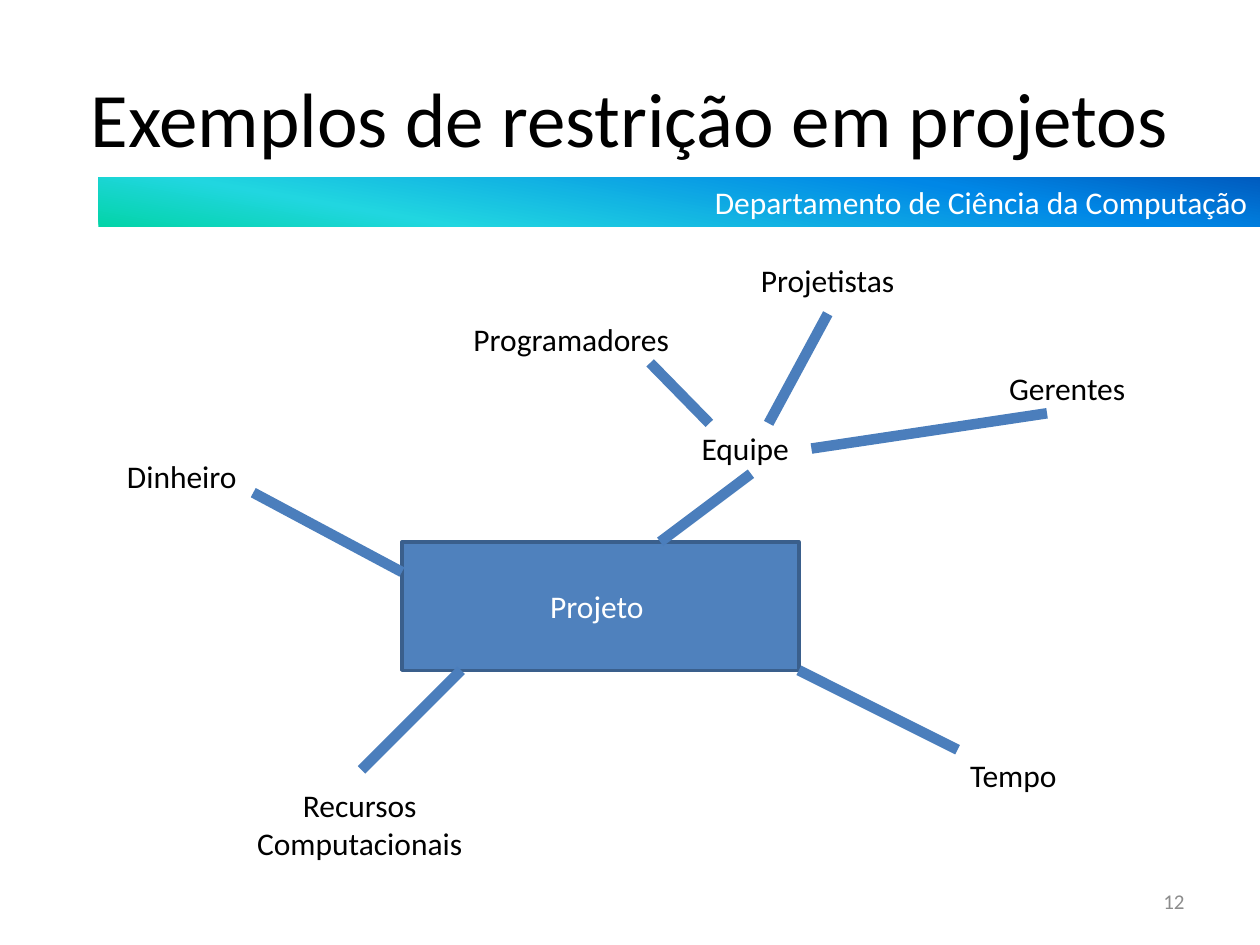
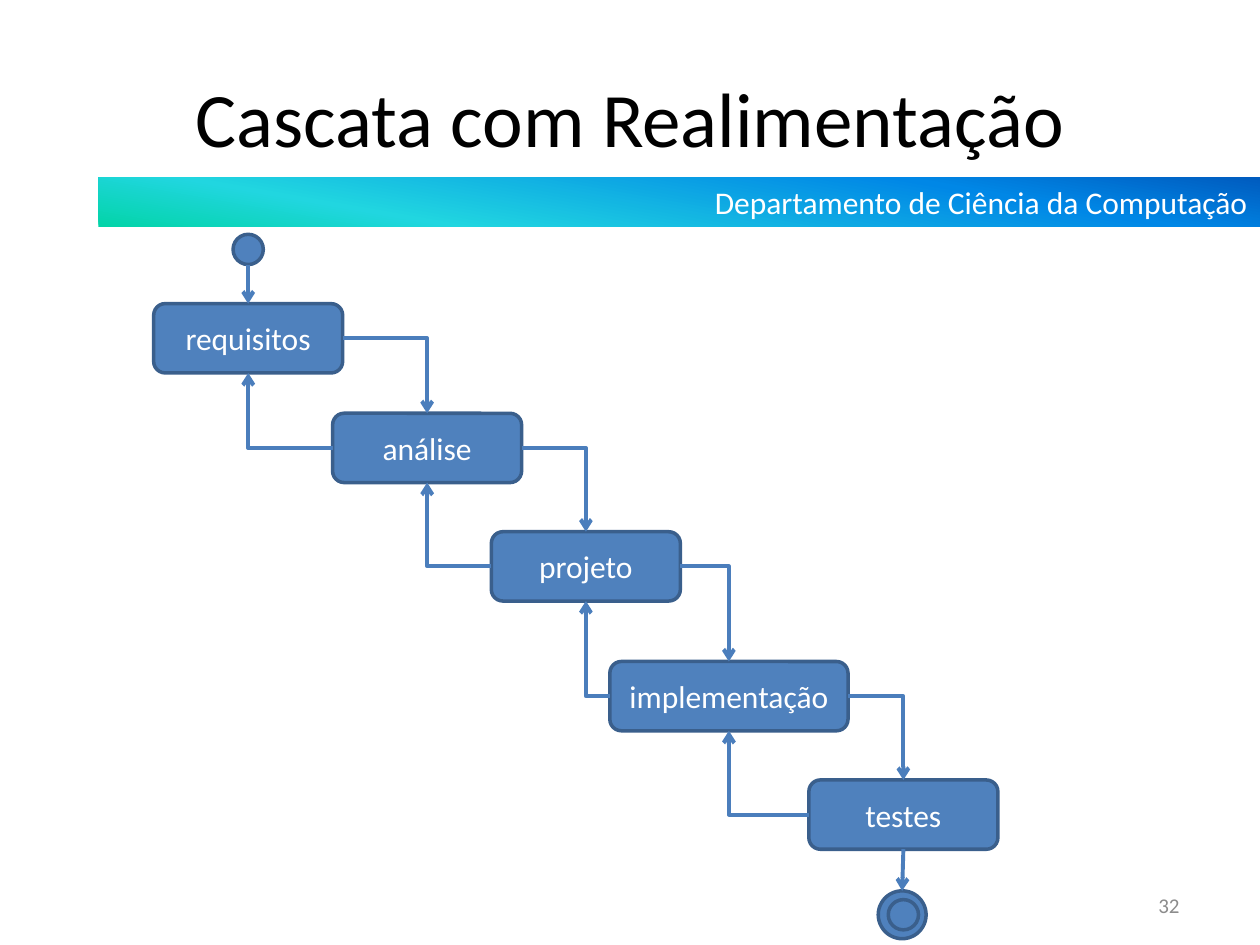
"""Two slides on software projects: constraints map and waterfall with feedback."""
from dataclasses import dataclass
from typing import NamedTuple

from lxml import etree
from pptx import Presentation, util as u
from pptx.dml.color import RGBColor
from pptx.enum import shapes, text
from pptx.oxml import ns


@dataclass(frozen=True)
class Theme:
    font: str = "Calibri"
    ink: str = "000000"
    light: str = "FFFFFF"
    muted: str = "8C8C8C"
    fill: str = "4F81BD"
    edge: str = "3A5F8C"
    link: str = "4B7EBC"
    band: tuple = ((0, "03D4A8"), (25, "21D6E0"), (75, "0087E6"), (100, "005CBF"))
    title: int = 44
    body: int = 18
    small: int = 12
    border: float = 2
    thin: float = 2.25
    thick: float = 6


class Box(NamedTuple):
    left: float
    top: float
    width: float
    height: float

    @property
    def mid(self) -> float:
        return self.left + self.width / 2

    @property
    def right(self) -> float:
        return self.left + self.width

    @property
    def base(self) -> float:
        return self.top + self.height

    @property
    def level(self) -> float:
        return self.top + self.height / 2


class Label(NamedTuple):
    words: str
    box: Box


class Link(NamedTuple):
    start: tuple[float, float]
    end: tuple[float, float]


THEME = Theme()
RECT = shapes.MSO_SHAPE.RECTANGLE
ROUND = shapes.MSO_SHAPE.ROUNDED_RECTANGLE
OVAL = shapes.MSO_SHAPE.OVAL
LEFT, CENTER, RIGHT = text.PP_ALIGN.LEFT, text.PP_ALIGN.CENTER, text.PP_ALIGN.RIGHT

PROJECT = Label("Projeto ", Box(3.19, 4.3, 3.15, 1.02))
LABELS = (
    Label("Dinheiro", Box(0.91, 3.58, 1.14, 0.4)),
    Label("Equipe", Box(5.47, 3.36, 0.97, 0.4)),
    Label("Programadores", Box(3.66, 2.49, 1.83, 0.4)),
    Label("Projetistas", Box(5.94, 2.02, 1.33, 0.4)),
    Label("Gerentes", Box(7.91, 2.88, 1.19, 0.4)),
    Label("Tempo", Box(7.6, 5.95, 0.95, 0.4)),
    Label("Recursos\nComputacionais", Box(1.93, 6.19, 1.85, 0.71)),
)
LINKS = (
    Link((2.87, 6.11), (3.66, 5.32)),
    Link((2.01, 3.91), (3.19, 4.54)),
    Link((5.96, 3.76), (5.24, 4.3)),
    Link((5.16, 2.88), (5.63, 3.36)),
    Link((6.57, 2.49), (6.1, 3.36)),
    Link((8.31, 3.28), (6.44, 3.56)),
    Link((7.6, 5.95), (6.34, 5.32)),
)
STAGES = (
    Label("requisitos", Box(1.22, 2.41, 1.5, 0.55)),
    Label("análise", Box(2.64, 3.28, 1.5, 0.55)),
    Label("projeto", Box(3.9, 4.22, 1.5, 0.55)),
    Label("implementação", Box(4.84, 5.25, 1.89, 0.55)),
    Label("testes", Box(6.42, 6.19, 1.5, 0.55)),
)
START = Box(1.85, 1.86, 0.24, 0.24)
RING = Box(6.97, 7.07, 0.38, 0.38)
CORE = Box(7.05, 7.14, 0.24, 0.24)


def rgb(code: str) -> RGBColor:
    return RGBColor.from_string(code)


def place(box: Box) -> list[int]:
    return [u.Inches(side) for side in box]


def write(frame, words: str, *, size=THEME.body, color=THEME.ink, align=LEFT,
          anchor=text.MSO_ANCHOR.MIDDLE, wrap=True) -> None:
    frame.word_wrap = wrap
    frame.vertical_anchor = anchor
    frame.text = words
    for par in frame.paragraphs:
        par.alignment = align
        par.font.name = THEME.font
        par.font.size = u.Pt(size)
        par.font.color.rgb = rgb(color)


def note(slide, words: str, box: Box, **style) -> None:
    write(slide.shapes.add_textbox(*place(box)).text_frame, words, **style)


def tag(slide, item: Label) -> None:
    align = CENTER if "\n" in item.words else LEFT
    note(slide, item.words, item.box, align=align,
         anchor=text.MSO_ANCHOR.TOP, wrap=False)


def block(slide, kind, box: Box, words: str = "") -> None:
    shape = slide.shapes.add_shape(kind, *place(box))
    shape.shadow.inherit = False
    shape.fill.solid()
    shape.fill.fore_color.rgb = rgb(THEME.fill)
    shape.line.color.rgb = rgb(THEME.edge)
    shape.line.width = u.Pt(THEME.border)
    if words:
        write(shape.text_frame, words, color=THEME.light, align=CENTER)


def join(slide, link: Link, *, width=THEME.thin, arrow=True, bent=False) -> None:
    start, end = link
    back = bent and end[0] < start[0]
    if back:
        start, end = end, start
    kind = shapes.MSO_CONNECTOR.ELBOW if bent else shapes.MSO_CONNECTOR.STRAIGHT
    line = slide.shapes.add_connector(kind, *(u.Inches(n) for n in (*start, *end)))
    line.line.color.rgb = rgb(THEME.link)
    line.line.width = u.Pt(width)
    props = line._element.spPr
    if bent:
        props.find(ns.qn("a:prstGeom")).set("prst", "bentConnector2")
    if back:
        props.find(ns.qn("a:xfrm")).set("rot", "10800000")
    if arrow:
        etree.SubElement(props.find(ns.qn("a:ln")), ns.qn("a:tailEnd"), type="arrow")
    etree.SubElement(props, ns.qn("a:effectLst"))


def band(slide) -> None:
    shape = slide.shapes.add_shape(RECT, *place(Box(0.78, 1.41, 9.22, 0.39)))
    shape.shadow.inherit = False
    shape.line.fill.background()
    shape.fill.gradient()
    shape.fill.gradient_angle = 80
    stops = shape._element.spPr.find(".//" + ns.qn("a:gsLst"))
    for stop in list(stops):
        stops.remove(stop)
    for part, code in THEME.band:
        stop = etree.SubElement(stops, ns.qn("a:gs"), pos=str(part * 1000))
        etree.SubElement(stop, ns.qn("a:srgbClr"), val=code)
    write(shape.text_frame, "Departamento de Ciência da Computação",
          color=THEME.light, align=RIGHT)


def page(deck, title: str, number: str, corner: tuple[float, float]):
    slide = deck.slides.add_slide(deck.slide_layouts[6])
    band(slide)
    note(slide, title, Box(0.5, 0.3, 9, 1.25), size=THEME.title, align=CENTER)
    note(slide, number, Box(*corner, 2.33, 0.4), size=THEME.small,
         color=THEME.muted, align=RIGHT)
    return slide


def limits(deck) -> None:
    slide = page(deck, "Exemplos de restrição em projetos", "12", (7.17, 6.95))
    block(slide, RECT, PROJECT.box, PROJECT.words)
    for item in LABELS:
        tag(slide, item)
    for link in LINKS:
        join(slide, link, width=THEME.thick, arrow=False)


def cascade(deck) -> None:
    slide = page(deck, "Cascata com Realimentação", "32", (7.13, 6.98))
    for dot in (START, RING, CORE):
        block(slide, OVAL, dot)
    for stage in STAGES:
        block(slide, ROUND, stage.box, stage.words)
    boxes = [stage.box for stage in STAGES]
    for high, low in zip(boxes, boxes[1:]):
        join(slide, Link((high.right, high.level), (low.mid, low.top)), bent=True)
        join(slide, Link((low.left, low.level), (high.mid, high.base)), bent=True)
    for high, low in ((START, boxes[0]), (boxes[-1], RING)):
        join(slide, Link((high.mid, high.base), (low.mid, low.top)))


def main() -> None:
    deck = Presentation()
    deck.slide_width, deck.slide_height = u.Inches(10), u.Inches(7.5)
    limits(deck)
    cascade(deck)
    deck.save("out.pptx")


if __name__ == "__main__":
    main()
